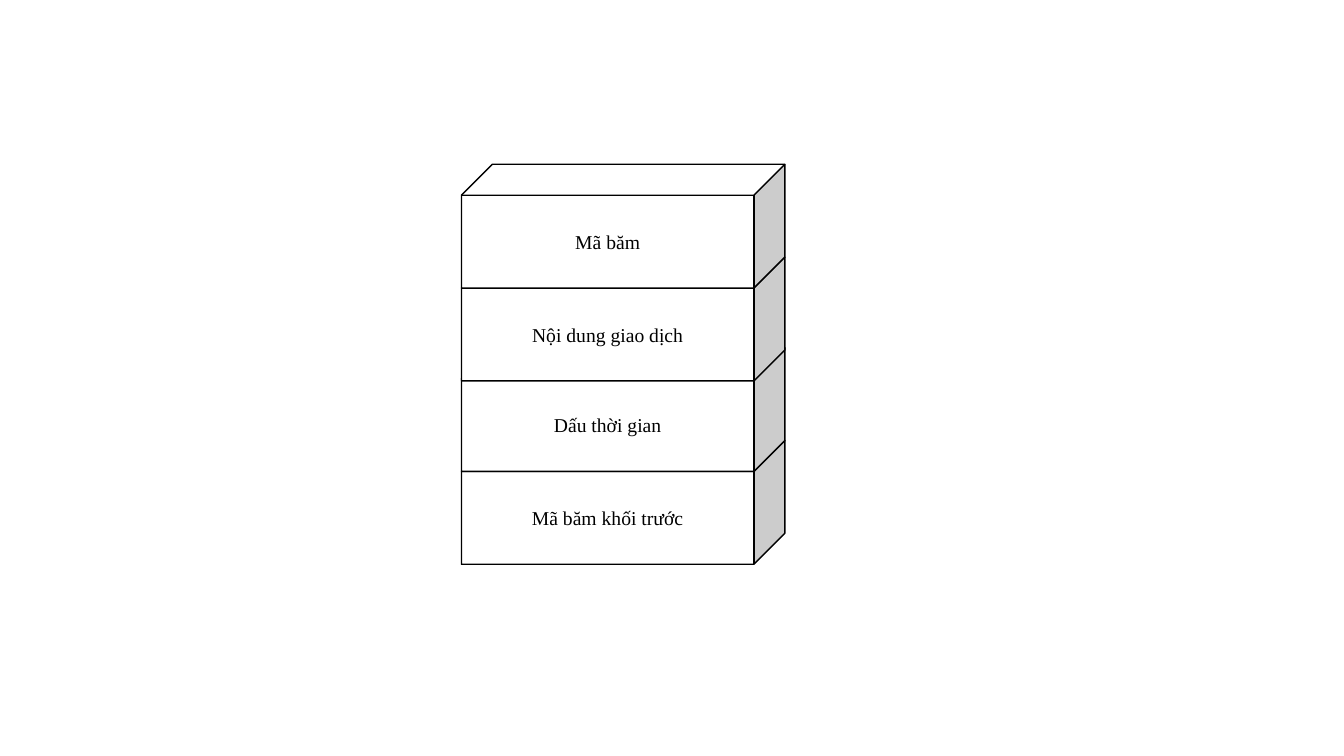
from dataclasses import dataclass

from pptx import Presentation
from pptx.dml.color import RGBColor
from pptx.enum.shapes import MSO_SHAPE
from pptx.enum.text import MSO_ANCHOR, PP_ALIGN
from pptx.slide import Slide
from pptx.util import Cm, Pt

CUBE = MSO_SHAPE.CUBE
MIDDLE = MSO_ANCHOR.MIDDLE
CENTER = PP_ALIGN.CENTER

BLACK = RGBColor(0x00, 0x00, 0x00)
WHITE = RGBColor(0xFF, 0xFF, 0xFF)

LAYER_LEFT = Cm(11.63)
LAYER_WIDTH = Cm(8.15)
LAYER_HEIGHT = Cm(3.12)


@dataclass(frozen=True)
class BlockLayer:
    label: str
    top_cm: float


LAYERS_BOTTOM_UP = [
    BlockLayer("Mã băm khối trước", 11.1),
    BlockLayer("Dấu thời gian", 8.76),
    BlockLayer("Nội dung giao dịch", 6.48),
    BlockLayer("Mã băm", 4.14),
]


def draw_layer(slide: Slide, layer: BlockLayer) -> None:
    shape = slide.shapes.add_shape(
        CUBE, LAYER_LEFT, Cm(layer.top_cm), LAYER_WIDTH, LAYER_HEIGHT
    )
    shape.shadow.inherit = False
    shape.fill.solid()
    shape.fill.fore_color.rgb = WHITE
    shape.line.color.rgb = BLACK
    shape.line.width = Pt(1)

    text_frame = shape.text_frame
    text_frame.word_wrap = True
    text_frame.vertical_anchor = MIDDLE
    paragraph = text_frame.paragraphs[0]
    paragraph.text = layer.label
    paragraph.alignment = CENTER
    paragraph.font.name = "Times New Roman"
    paragraph.font.size = Pt(14)
    paragraph.font.color.rgb = BLACK


def main() -> None:
    presentation = Presentation()
    presentation.slide_width = Cm(33.87)
    presentation.slide_height = Cm(19.05)
    slide = presentation.slides.add_slide(presentation.slide_layouts[6])
    for layer in LAYERS_BOTTOM_UP:
        draw_layer(slide, layer)
    presentation.save("out.pptx")


if __name__ == "__main__":
    main()
